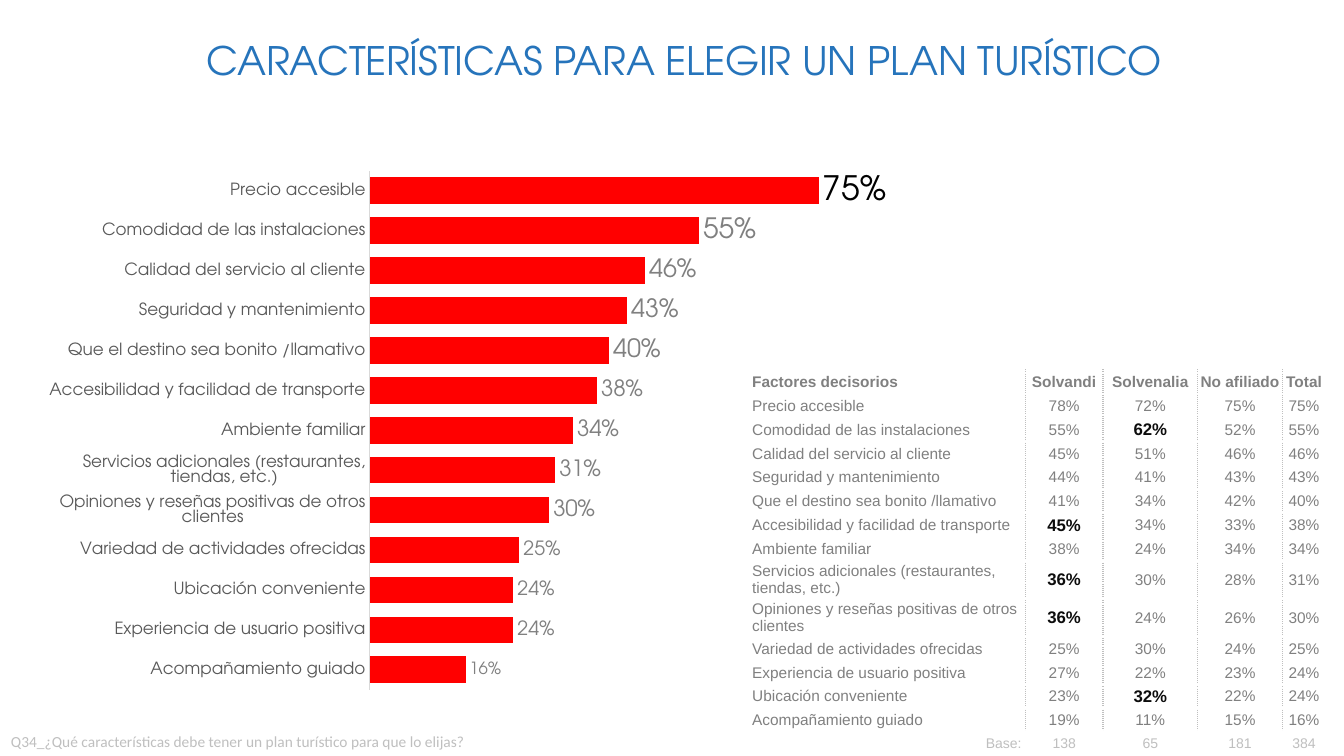
from lxml import etree
from pptx import Presentation
from pptx.chart.data import CategoryChartData
from pptx.dml.color import RGBColor
from pptx.enum.chart import XL_CHART_TYPE, XL_LABEL_POSITION, XL_TICK_LABEL_POSITION, XL_TICK_MARK
from pptx.enum.text import MSO_ANCHOR, PP_ALIGN
from pptx.oxml import parse_xml
from pptx.oxml.ns import qn
from pptx.util import Inches, Pt

BAR_CLUSTERED = XL_CHART_TYPE.BAR_CLUSTERED
OUTSIDE_END = XL_LABEL_POSITION.OUTSIDE_END
NO_LABELS = XL_TICK_LABEL_POSITION.NONE
NO_TICKS = XL_TICK_MARK.NONE
MIDDLE = MSO_ANCHOR.MIDDLE
LEFT, CENTER, RIGHT = PP_ALIGN.LEFT, PP_ALIGN.CENTER, PP_ALIGN.RIGHT

BLUE = RGBColor(0x26, 0x74, 0xBB)
RED = RGBColor(0xFF, 0x00, 0x00)
BLACK = RGBColor(0x00, 0x00, 0x00)
INK = RGBColor(0x0D, 0x0D, 0x0D)
DARK_GRAY = RGBColor(0x59, 0x59, 0x59)
GRAY = RGBColor(0x80, 0x80, 0x80)
SILVER = RGBColor(0xBF, 0xBF, 0xBF)
PALE_GRAY = RGBColor(0xD9, 0xD9, 0xD9)
WHITE = RGBColor(0xFF, 0xFF, 0xFF)

DISPLAY, BODY, TABLE_FONT = "TeX Gyre Adventor", "Calibri", "Arial"
SLIDE_WIDTH, SLIDE_HEIGHT = Inches(13.33), Inches(7.5)

HEADERS = ["Factores decisorios", "Solvandi", "Solvenalia", "No afiliado", "Total"]
FACTORS = [
    ("Precio accesible", 78, 72, 75, 75),
    ("Comodidad de las instalaciones", 55, 62, 52, 55),
    ("Calidad del servicio al cliente", 45, 51, 46, 46),
    ("Seguridad y mantenimiento", 44, 41, 43, 43),
    ("Que el destino sea bonito /llamativo", 41, 34, 42, 40),
    ("Accesibilidad y facilidad de transporte", 45, 34, 33, 38),
    ("Ambiente familiar", 38, 24, 34, 34),
    ("Servicios adicionales (restaurantes, tiendas, etc.)", 36, 30, 28, 31),
    ("Opiniones y reseñas positivas de otros clientes", 36, 24, 26, 30),
    ("Variedad de actividades ofrecidas", 25, 30, 24, 25),
    ("Experiencia de usuario positiva", 27, 22, 23, 24),
    ("Ubicación conveniente", 23, 32, 22, 24),
    ("Acompañamiento guiado", 19, 11, 15, 16),
]
BASE = ["Base:", "138", "65", "181", "384"]
HIGHLIGHTS = {(2, 2), (6, 1), (8, 1), (9, 1), (12, 2)}
COLUMN_WEIGHTS = [2.72, 0.77, 0.94, 0.84, 0.43]
LABEL_SIZES = [12] + [14] * 3 + [16] * 4 + [18] * 3 + [20, 24]
PLOT_LAYOUT = {"x": 0.387, "y": 0.036, "w": 0.563, "h": 0.95}


def area(left, top, width, height):
    """Turn percentages of the slide into a box of lengths."""
    return (int(SLIDE_WIDTH * left / 100), int(SLIDE_HEIGHT * top / 100),
            int(SLIDE_WIDTH * width / 100), int(SLIDE_HEIGHT * height / 100))


def style(font, name, size, color, bold=False):
    """Set the face, size, colour and weight of a font."""
    font.name, font.size, font.bold = name, Pt(size), bold
    font.color.rgb = color


def add_title(page, box):
    """Place the centred slide title."""
    frame = page.shapes.add_textbox(*box).text_frame
    frame.word_wrap = True
    frame.margin_left = frame.margin_right = frame.margin_bottom = 0
    frame.margin_top = Inches(0.01)
    para = frame.paragraphs[0]
    para.text = "CARACTERÍSTICAS PARA ELEGIR UN PLAN TURÍSTICO"
    para.alignment = CENTER
    span = para.runs[0]
    style(span.font, DISPLAY, 28, BLUE)
    span._r.get_or_add_rPr().set("spc", "-10")


def add_question(page, box):
    """Place the survey question at the foot of the slide."""
    frame = page.shapes.add_textbox(*box).text_frame
    frame.word_wrap = True
    frame.text = "Q34_¿Qué características debe tener un plan turístico para que lo elijas?"
    style(frame.paragraphs[0].runs[0].font, BODY, 11, SILVER)


def fix_plot_area(chart):
    """Pin the inner plot area to its shares of the chart."""
    plot_area = chart._chartSpace.chart.plotArea
    for old in plot_area.findall(qn("c:layout")):
        plot_area.remove(old)
    layout = etree.Element(qn("c:layout"))
    manual = etree.SubElement(layout, qn("c:manualLayout"))
    settings = [("layoutTarget", "inner"), ("xMode", "edge"), ("yMode", "edge")]
    for tag, value in settings + list(PLOT_LAYOUT.items()):
        etree.SubElement(manual, qn(f"c:{tag}")).set("val", str(value))
    plot_area.insert(0, parse_xml(etree.tostring(layout)))


def add_factor_chart(page, box):
    """Place the bar chart of total mentions by factor."""
    ranking = sorted(FACTORS, key=lambda factor: factor[-1])
    data = CategoryChartData(number_format="0%")
    data.categories = [factor[0] for factor in ranking]
    data.add_series("Series 1", [factor[-1] / 100 for factor in ranking])
    chart = page.shapes.add_chart(BAR_CLUSTERED, *box, data).chart
    chart.has_legend = chart.has_title = False
    style(chart.font, BODY, 10, BLACK)

    names, scale = chart.category_axis, chart.value_axis
    for axis in (names, scale):
        axis.major_tick_mark = axis.minor_tick_mark = NO_TICKS
        axis.has_major_gridlines = False
    style(names.tick_labels.font, DISPLAY, 12, DARK_GRAY)
    names.format.line.color.rgb = PALE_GRAY
    names.format.line.width = Pt(0.75)
    scale.minimum_scale, scale.maximum_scale = 0, 0.8
    scale.tick_label_position = NO_LABELS
    scale.format.line.fill.background()

    plot = chart.plots[0]
    plot.gap_width, plot.vary_by_categories = 50, False
    series = plot.series[0]
    series.format.fill.solid()
    series.format.fill.fore_color.rgb = RED
    labels = series.data_labels
    labels.show_value, labels.position = True, OUTSIDE_END
    labels.number_format, labels.number_format_is_linked = "0%", False
    style(labels.font, DISPLAY, 18, GRAY)
    for index, size in enumerate(LABEL_SIZES):
        if size != 18:
            label = series.points[index].data_label
            style(label.font, DISPLAY, size, BLACK if size == 24 else GRAY)
            label.position = OUTSIDE_END
    fix_plot_area(chart)


def set_borders(cell, dotted_sides):
    """Draw grey dotted lines on the given sides and white ones elsewhere."""
    properties = cell._tc.get_or_add_tcPr()
    for position, side in enumerate("LRTB"):
        dotted = side in dotted_sides
        line = etree.Element(qn(f"a:ln{side}"), w=str(Pt(1)))
        fill = etree.SubElement(line, qn("a:solidFill"))
        etree.SubElement(fill, qn("a:srgbClr")).set("val", str(SILVER if dotted else WHITE))
        etree.SubElement(line, qn("a:prstDash")).set("val", "sysDot" if dotted else "solid")
        properties.insert(position, line)


def add_factor_table(page, box):
    """Place the table of factors by affiliation."""
    rows = [HEADERS]
    rows += [[name] + [f"{share}%" for share in shares] for name, *shares in FACTORS]
    rows.append(BASE)
    last_row, last_column = len(rows) - 1, len(HEADERS) - 1
    table = page.shapes.add_table(len(rows), len(HEADERS), *box).table
    table.first_row = table.horz_banding = False
    for column, weight in zip(table.columns, COLUMN_WEIGHTS):
        column.width = int(box[2] * weight / sum(COLUMN_WEIGHTS))
    for r, texts in enumerate(rows):
        table.rows[r].height = int(box[3] * 0.0617)
        for c, text in enumerate(texts):
            cell = table.cell(r, c)
            cell.fill.background()
            cell.vertical_anchor = MIDDLE
            cell.margin_left = cell.margin_right = cell.margin_top = Inches(0.01)
            cell.margin_bottom = 0
            cell.text = text
            para = cell.text_frame.paragraphs[0]
            para.alignment = CENTER if c else RIGHT if r == last_row else LEFT
            font = para.runs[0].font
            if r == last_row:
                style(font, TABLE_FONT, 10, SILVER)
                set_borders(cell, "")
                if c == 0:
                    cell.margin_right = Inches(0.04)
                continue
            if (r, c) in HIGHLIGHTS:
                style(font, TABLE_FONT, 12, INK, bold=True)
            else:
                style(font, TABLE_FONT, 11, GRAY, bold=r == 0)
            set_borders(cell, "R" if c == 0 else "L" if c == last_column else "LR")


def main():
    """Build and save the one-slide deck."""
    deck = Presentation()
    deck.slide_width, deck.slide_height = SLIDE_WIDTH, SLIDE_HEIGHT
    page = deck.slides.add_slide(deck.slide_layouts[6])
    add_title(page, area(12.98, 4.67, 75.84, 12.8))
    add_question(page, area(0.08, 96.13, 50.04, 3.87))
    add_factor_chart(page, area(3, 20, 63.32, 72.27))
    add_factor_table(page, area(55.89, 48.93, 42.76, 51.07))
    deck.save("out.pptx")


if __name__ == "__main__":
    main()
